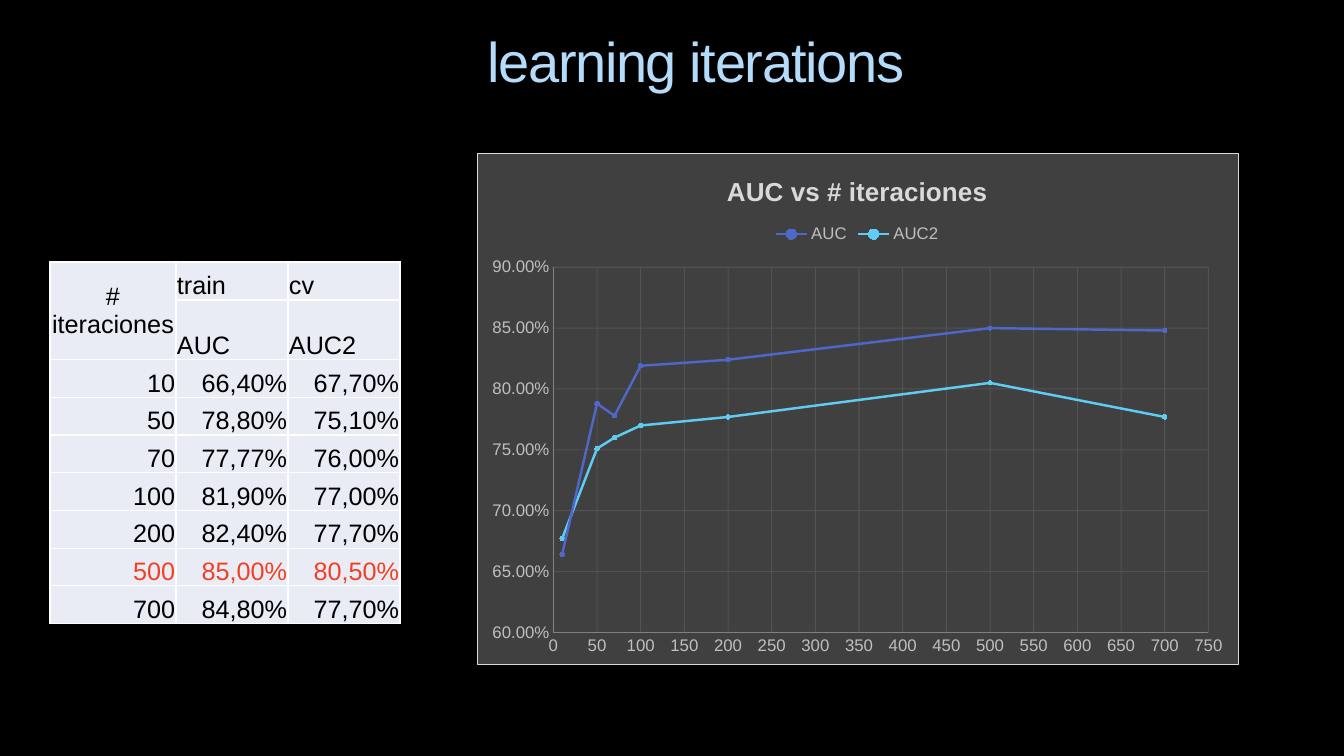
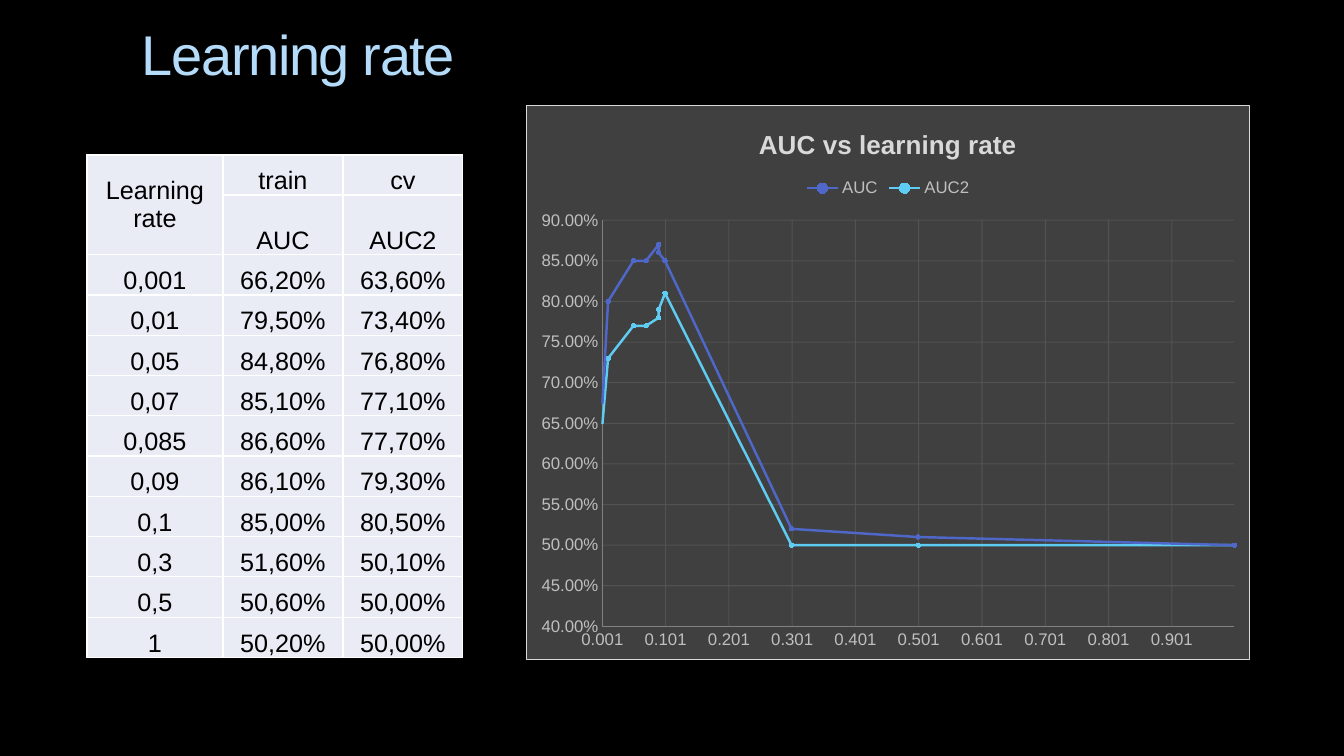
import pptx
import pptx.chart.data
import pptx.dml.color
import pptx.enum.chart
import pptx.enum.text
import pptx.oxml
import pptx.oxml.ns
import pptx.util

EMU_PER_PX = 914400 / 100.8
qn = pptx.oxml.ns.qn
parse_xml = pptx.oxml.parse_xml
nsdecls = pptx.oxml.ns.nsdecls
rgb = pptx.dml.color.RGBColor.from_string
Pt = pptx.util.Pt
ALIGN = pptx.enum.text.PP_ALIGN
ANCHOR = pptx.enum.text.MSO_ANCHOR
NO_TICK = pptx.enum.chart.XL_TICK_MARK.NONE


def px(length):
    return pptx.util.Emu(round(length * EMU_PER_PX))


def font_style(font, size, colour, bold=False):
    values = {"name": "Arial", "size": Pt(size), "bold": bold}
    for name, value in values.items():
        setattr(font, name, value)
    font.color.rgb = rgb(colour)


BACKGROUND = "000000"
TITLE_COLOUR = "B4DCFA"
CELL_FILL = "E9EBF5"
CELL_TEXT = "000000"
BEST_TEXT = "F14124"
CHART_FILL = "404040"
CHART_BORDER = "D9D9D9"
LABEL_COLOUR = "BFBFBF"
AXIS_COLOUR = "808080"
GRID_COLOUR = "595959"
SERIES_COLOURS = {"AUC": "4E67C8", "AUC2": "5ECCF3"}
MERGED_ROW = 57

CELL_FORMAT = {
    "margin_left": px(1),
    "margin_right": px(1),
    "margin_top": px(1),
    "margin_bottom": 0,
    "vertical_anchor": ANCHOR.BOTTOM,
}

experiments = [
    {
        "title": "learning iterations",
        "title_box": (125, 28, 1142, 64),
        "title_align": ALIGN.CENTER,
        "parameter": "# iteraciones",
        "table_at": (50, 262),
        "columns": (126, 112, 112),
        "header_row": 38,
        "body_height": 264,
        "header_align": ALIGN.LEFT,
        "body_align": ALIGN.RIGHT,
        "best": "500",
        "results": [
            ("10", "66,40%", "67,70%"),
            ("50", "78,80%", "75,10%"),
            ("70", "77,77%", "76,00%"),
            ("100", "81,90%", "77,00%"),
            ("200", "82,40%", "77,70%"),
            ("500", "85,00%", "80,50%"),
            ("700", "84,80%", "77,70%"),
        ],
        "decimals": 3,
        "chart_title": "AUC vs # iteraciones",
        "chart_box": (477, 153, 762, 512),
        "chart_title_at": (245, 16),
        "legend_at": (293, 68),
        "plot_box": (76, 114, 656, 366),
        "x_scale": (0, 750, 50),
        "y_scale": (0.6, 0.9, 0.05),
    },
    {
        "title": "Learning rate",
        "title_box": (132, 21, 1142, 64),
        "title_align": ALIGN.LEFT,
        "parameter": "Learning rate",
        "table_at": (87, 155),
        "columns": (136, 120, 120),
        "header_row": 40,
        "body_height": 403,
        "header_align": ALIGN.CENTER,
        "body_align": ALIGN.CENTER,
        "best": None,
        "results": [
            ("0,001", "66,20%", "63,60%"),
            ("0,01", "79,50%", "73,40%"),
            ("0,05", "84,80%", "76,80%"),
            ("0,07", "85,10%", "77,10%"),
            ("0,085", "86,60%", "77,70%"),
            ("0,09", "86,10%", "79,30%"),
            ("0,1", "85,00%", "80,50%"),
            ("0,3", "51,60%", "50,10%"),
            ("0,5", "50,60%", "50,00%"),
            ("1", "50,20%", "50,00%"),
        ],
        "decimals": 2,
        "chart_title": "AUC vs learning rate",
        "chart_box": (526, 105, 724, 555),
        "chart_title_at": (228, 17),
        "legend_at": (275, 70),
        "plot_box": (76, 115, 633, 407),
        "x_scale": (0.001, 1, 0.1),
        "y_scale": (0.4, 0.9, 0.05),
    },
]

deck = pptx.Presentation()
deck.slide_width = px(1344)
deck.slide_height = px(756)

for experiment in experiments:
    slide = deck.slides.add_slide(deck.slide_layouts[6])
    slide.background.fill.solid()
    slide.background.fill.fore_color.rgb = rgb(BACKGROUND)

    heading = slide.shapes.add_textbox(*map(px, experiment["title_box"])).text_frame
    heading_format = {
        "word_wrap": True,
        "vertical_anchor": ANCHOR.MIDDLE,
        "margin_top": 0,
        "margin_bottom": 0,
        "text": experiment["title"],
    }
    for name, value in heading_format.items():
        setattr(heading, name, value)
    heading.paragraphs[0].alignment = experiment["title_align"]
    heading_run = heading.paragraphs[0].runs[0]
    font_style(heading_run.font, 40, TITLE_COLOUR)
    heading_run.font._element.set("spc", "-100")

    results = experiment["results"]
    rows = [(experiment["parameter"], "train", "cv"), ("", "AUC", "AUC2"), *results]
    body_row = px(experiment["body_height"] / len(results))
    heights = [px(experiment["header_row"]), px(MERGED_ROW)] + [body_row] * len(results)
    table = slide.shapes.add_table(
        len(rows), 3, *map(px, experiment["table_at"]),
        px(sum(experiment["columns"])), sum(heights),
    ).table
    table.first_row = False
    table.horz_banding = False
    for column, width in zip(table.columns, experiment["columns"]):
        column.width = px(width)
    for row, height in zip(table.rows, heights):
        row.height = height
    for r, texts in enumerate(rows):
        text_colour = BEST_TEXT if texts[0] == experiment["best"] else CELL_TEXT
        for c, text in enumerate(texts):
            cell = table.cell(r, c)
            for name, value in CELL_FORMAT.items():
                setattr(cell, name, value)
            cell.text = text
            cell.fill.solid()
            cell.fill.fore_color.rgb = rgb(CELL_FILL)
            paragraph = cell.text_frame.paragraphs[0]
            paragraph.alignment = experiment["header_align" if r < 2 else "body_align"]
            for run in paragraph.runs:
                font_style(run.font, 18, text_colour)
    parameter_cell = table.cell(0, 0)
    parameter_cell.merge(table.cell(1, 0))
    parameter_cell.vertical_anchor = ANCHOR.MIDDLE
    parameter_cell.text_frame.paragraphs[0].alignment = ALIGN.CENTER
    parameter_cell.text_frame.paragraphs[0].line_spacing = 0.97

    decimals = experiment["decimals"]
    numbers = [
        [float(text.rstrip("%").replace(",", ".")) for text in texts] for texts in results
    ]
    scores = pptx.chart.data.XyChartData(number_format="0.00%")
    for c, name in enumerate(SERIES_COLOURS, start=1):
        curve = scores.add_series(name)
        for values in numbers:
            curve.add_data_point(round(values[0], decimals), round(values[c] / 100, decimals))
    chart = slide.shapes.add_chart(
        pptx.enum.chart.XL_CHART_TYPE.XY_SCATTER_LINES,
        *map(px, experiment["chart_box"]), scores,
    ).chart
    font_style(chart.font, 10, "FFFFFF")
    chart._chartSpace.find(qn("c:chart")).addnext(parse_xml(
        f'<c:spPr {nsdecls("c", "a")}>'
        f'<a:solidFill><a:srgbClr val="{CHART_FILL}"/></a:solidFill>'
        f'<a:ln w="9525"><a:solidFill><a:srgbClr val="{CHART_BORDER}"/></a:solidFill></a:ln>'
        f'</c:spPr>'
    ))

    chart.has_title = True
    chart.chart_title.text_frame.text = experiment["chart_title"]
    title_run = chart.chart_title.text_frame.paragraphs[0].runs[0]
    font_style(title_run.font, 18.6, "D9D9D9", True)
    chart.has_legend = True
    chart.legend.position = pptx.enum.chart.XL_LEGEND_POSITION.TOP
    chart.legend.include_in_layout = False
    font_style(chart.legend.font, 12, LABEL_COLOUR)

    chart.plots[0].vary_by_categories = False
    for series, colour in zip(chart.plots[0].series, SERIES_COLOURS.values()):
        series.smooth = False
        series.format.line.width = Pt(1.75)
        series.format.line.color.rgb = rgb(colour)
        series.marker.style = pptx.enum.chart.XL_MARKER_STYLE.CIRCLE
        series.marker.size = 3
        series.marker.format.fill.solid()
        series.marker.format.fill.fore_color.rgb = rgb(colour)
        series.marker.format.line.color.rgb = rgb(colour)

    for axis, scale, number_format in (
        (chart.category_axis, experiment["x_scale"], "General"),
        (chart.value_axis, experiment["y_scale"], "0.00%"),
    ):
        axis_format = {
            "minimum_scale": scale[0],
            "maximum_scale": scale[1],
            "major_unit": scale[2],
            "major_tick_mark": NO_TICK,
            "minor_tick_mark": NO_TICK,
            "has_major_gridlines": True,
        }
        for name, value in axis_format.items():
            setattr(axis, name, value)
        axis.tick_labels.number_format = number_format
        axis.tick_labels.number_format_is_linked = False
        font_style(axis.tick_labels.font, 12, LABEL_COLOUR)
        grid = axis.major_gridlines.format.line
        for line, colour in ((axis.format.line, AXIS_COLOUR), (grid, GRID_COLOUR)):
            line.width = Pt(0.75)
            line.color.rgb = rgb(colour)
        grid_colour = axis.major_gridlines._xAx.find(qn("c:majorGridlines")).find(
            ".//" + qn("a:srgbClr")
        )
        grid_colour.append(parse_xml(f'<a:alpha {nsdecls("a")} val="75000"/>'))

    chart_width, chart_height = experiment["chart_box"][2:]
    spans = (chart_width, chart_height) * 2
    plot_area = chart._chartSpace.find(".//" + qn("c:plotArea"))
    for part, place, before in (
        (chart.chart_title._element, experiment["chart_title_at"], "c:tx"),
        (chart.legend._element, experiment["legend_at"], "c:legendPos"),
        (plot_area, experiment["plot_box"], None),
    ):
        for old_layout in part.findall(qn("c:layout")):
            part.remove(old_layout)
        target = "" if before else '<c:layoutTarget val="inner"/>'
        fractions = "".join(
            f'<c:{key} val="{length / span:.4f}"/>'
            for key, length, span in zip("xywh", place, spans)
        )
        layout = parse_xml(
            f'<c:layout {nsdecls("c")}><c:manualLayout>{target}'
            f'<c:xMode val="edge"/><c:yMode val="edge"/>{fractions}'
            f'</c:manualLayout></c:layout>'
        )
        part.insert(part.index(part.find(qn(before))) + 1 if before else 0, layout)

deck.save("out.pptx")
